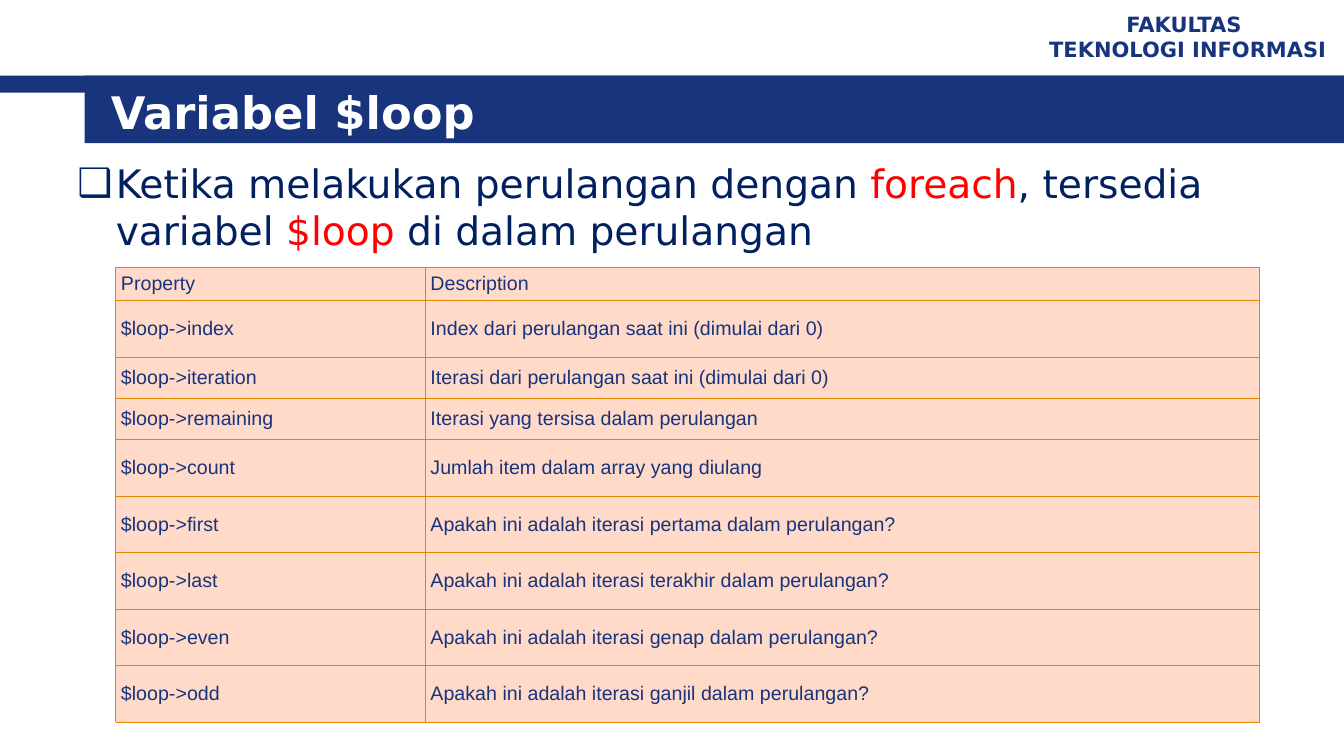
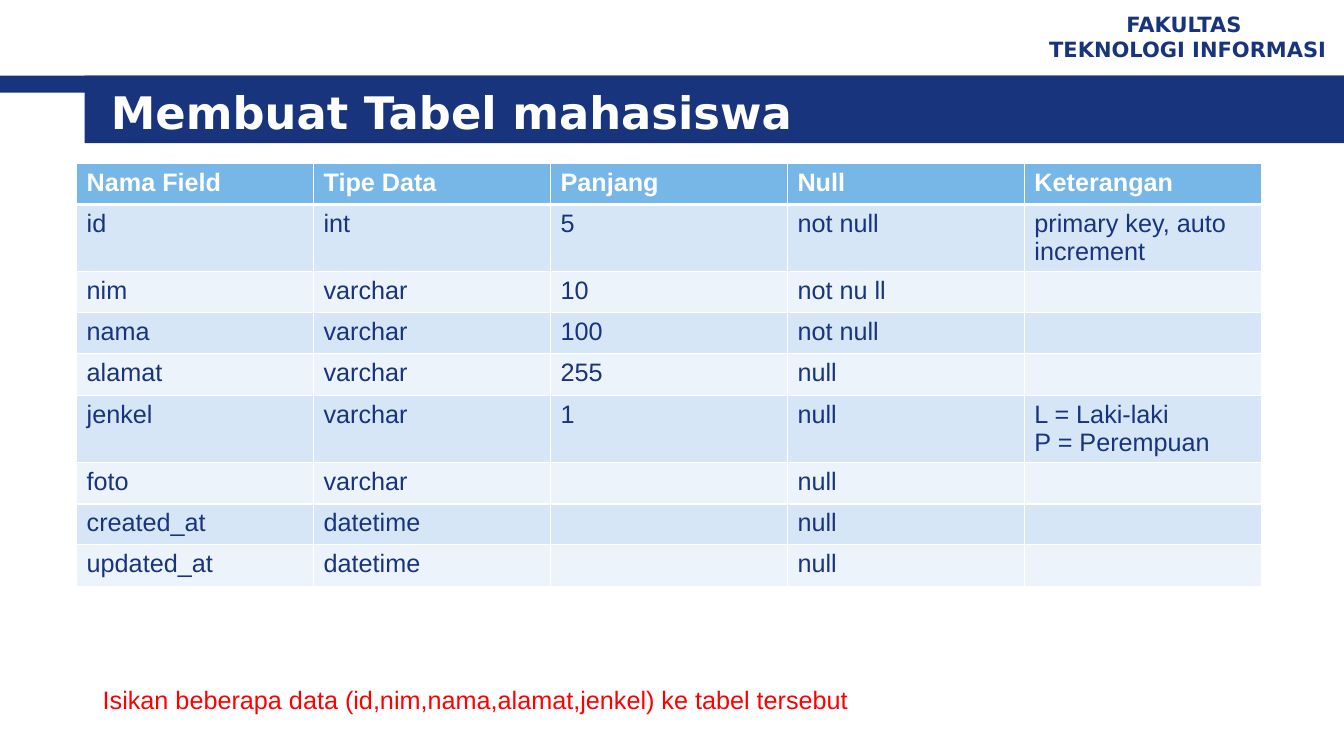
from dataclasses import dataclass

import pptx
import pptx.dml.color
import pptx.enum.shapes
import pptx.enum.text
import pptx.oxml
import pptx.oxml.ns
import pptx.presentation
import pptx.slide
import pptx.table
import pptx.text.text
import pptx.util

Inches = pptx.util.Inches
Pt = pptx.util.Pt
MIDDLE = pptx.enum.text.MSO_ANCHOR.MIDDLE
TOP = pptx.enum.text.MSO_ANCHOR.TOP

COLOURS = {
    "navy": "17347D",
    "body": "002060",
    "accent": "FF0000",
    "white": "FFFFFF",
    "peach": "FFDAC8",
    "orange": "E28700",
    "header": "77B7E7",
    "band_dark": "D6E6F6",
    "band_light": "ECF3FA",
}
HEADING_FONT = "DejaVu Sans"
TABLE_FONT = "Arial"


@dataclass(frozen=True)
class Box:
    left: float
    top: float
    width: float
    height: float

    def lengths(self) -> tuple[int, int, int, int]:
        return Inches(self.left), Inches(self.top), Inches(self.width), Inches(self.height)


@dataclass(frozen=True)
class TextStyle:
    size: float
    colour: str
    font: str = TABLE_FONT
    bold: bool = False


@dataclass(frozen=True)
class TableStyle:
    text: TextStyle
    header_text: TextStyle
    header_fill: str
    row_fills: tuple[str, ...]
    border: str
    border_width: float
    header_border_width: float
    anchor: pptx.enum.text.MSO_ANCHOR
    side_margin: float


BANDS = (Box(0, 0.75, 13.33, 0.17), Box(0.84, 0.75, 12.49, 0.67))
TITLE_BOX = Box(1, 0.8, 11.89, 0.62)
FACULTY_BOX = Box(10.23, 0.05, 3.1, 0.62)

TITLE_STYLE = TextStyle(32, "white", HEADING_FONT, True)
FACULTY_STYLE = TextStyle(15, "navy", HEADING_FONT, True)
BODY_STYLE = TextStyle(28, "body", HEADING_FONT)
KEYWORD_STYLE = TextStyle(28, "accent", HEADING_FONT)
NOTE_STYLE = TextStyle(18, "accent")

LOOP_TEXT = TextStyle(14, "navy")
LOOP_STYLE = TableStyle(LOOP_TEXT, LOOP_TEXT, "peach", ("peach",), "orange", 0.75, 0.75, MIDDLE, 0.05)
FIELD_STYLE = TableStyle(
    TextStyle(18, "navy"), TextStyle(18, "white", bold=True), "header",
    ("band_dark", "band_light"), "white", 1, 3, TOP, 0.1,
)

LOOP_ROWS = (
    ("Property", "Description"),
    ("$loop->index", "Index dari perulangan saat ini (dimulai dari 0)"),
    ("$loop->iteration", "Iterasi dari perulangan saat ini (dimulai dari 0)"),
    ("$loop->remaining", "Iterasi yang tersisa dalam perulangan"),
    ("$loop->count", "Jumlah item dalam array yang diulang"),
    ("$loop->first", "Apakah ini adalah iterasi pertama dalam perulangan?"),
    ("$loop->last", "Apakah ini adalah iterasi terakhir dalam perulangan?"),
    ("$loop->even", "Apakah ini adalah iterasi genap dalam perulangan?"),
    ("$loop->odd", "Apakah ini adalah iterasi ganjil dalam perulangan?"),
)
LOOP_HEIGHTS = (0.33, 0.56, 0.41, 0.41) + (0.56,) * 5

FIELD_ROWS = (
    ("Nama Field", "Tipe Data", "Panjang", "Null", "Keterangan"),
    ("id", "int", "5", "not null", "primary key, auto increment"),
    ("nim", "varchar", "10", "not nu ll", ""),
    ("nama", "varchar", "100", "not null", ""),
    ("alamat", "varchar", "255", "null", ""),
    ("jenkel", "varchar", "1", "null", "L = Laki-laki\nP = Perempuan"),
    ("foto", "varchar", "", "null", ""),
    ("created_at", "datetime", "", "null", ""),
    ("updated_at", "datetime", "", "null", ""),
)
FIELD_HEIGHTS = (0.41, 0.65, 0.41, 0.41, 0.41, 0.67, 0.41, 0.39, 0.41)


def rgb(name: str) -> pptx.dml.color.RGBColor:
    return pptx.dml.color.RGBColor.from_string(COLOURS[name])


def format_font(font: pptx.text.text.Font, style: TextStyle) -> None:
    font.name = style.font
    font.size = Pt(style.size)
    font.bold = style.bold
    font.color.rgb = rgb(style.colour)


def write_text(frame: pptx.text.text.TextFrame, text: str, style: TextStyle) -> None:
    frame.text = text
    for paragraph in frame.paragraphs:
        for run in paragraph.runs:
            format_font(run.font, style)


def add_text(slide: pptx.slide.Slide, box: Box, text: str, style: TextStyle) -> pptx.text.text.TextFrame:
    frame = slide.shapes.add_textbox(*box.lengths()).text_frame
    frame.word_wrap = True
    write_text(frame, text, style)
    return frame


def add_slide(presentation: pptx.presentation.Presentation, title_text: str) -> pptx.slide.Slide:
    slide = presentation.slides.add_slide(presentation.slide_layouts.get_by_name("Title Only"))
    for box in BANDS:
        band = slide.shapes.add_shape(pptx.enum.shapes.MSO_SHAPE.RECTANGLE, *box.lengths())
        band.shadow.inherit = False
        band.fill.solid()
        band.fill.fore_color.rgb = rgb("navy")
        band.line.fill.background()
    faculty = add_text(slide, FACULTY_BOX, "FAKULTAS \nTEKNOLOGI INFORMASI", FACULTY_STYLE)
    faculty.vertical_anchor = MIDDLE
    for paragraph in faculty.paragraphs:
        paragraph.alignment = pptx.enum.text.PP_ALIGN.CENTER
    title = slide.shapes.title
    title.left, title.top, title.width, title.height = TITLE_BOX.lengths()
    write_text(title.text_frame, title_text, TITLE_STYLE)
    title.text_frame.auto_size = pptx.enum.text.MSO_AUTO_SIZE.NONE
    title.text_frame.vertical_anchor = MIDDLE
    title.text_frame.paragraphs[0].alignment = pptx.enum.text.PP_ALIGN.LEFT
    title.element.getparent().append(title.element)
    return slide


def add_bullet(paragraph: pptx.text.text._Paragraph, symbol: str, style: TextStyle, indent: float) -> None:
    properties = paragraph._p.get_or_add_pPr()
    properties.set("marL", str(Inches(indent)))
    properties.set("indent", str(-Inches(indent)))
    namespace = pptx.oxml.ns.nsdecls("a")
    for markup in (
        f'<a:buClr {namespace}><a:srgbClr val="{COLOURS[style.colour]}"/></a:buClr>',
        f'<a:buFont {namespace} typeface="{style.font}"/>',
        f'<a:buChar {namespace} char="{symbol}"/>',
    ):
        properties.append(pptx.oxml.parse_xml(markup))


def set_borders(cell: pptx.table._Cell, colour: str, width: float, bottom_width: float) -> None:
    properties = cell._tc.get_or_add_tcPr()
    for side in "LRTB":
        points = bottom_width if side == "B" else width
        properties.append(pptx.oxml.parse_xml(
            f'<a:ln{side} {pptx.oxml.ns.nsdecls("a")} w="{Pt(points)}">'
            f'<a:solidFill><a:srgbClr val="{COLOURS[colour]}"/></a:solidFill></a:ln{side}>'
        ))


def add_table(
    slide: pptx.slide.Slide,
    left: float,
    top: float,
    widths: tuple[float, ...],
    heights: tuple[float, ...],
    rows: tuple[tuple[str, ...], ...],
    style: TableStyle,
) -> None:
    box = Box(left, top, sum(widths), sum(heights))
    table = slide.shapes.add_table(len(rows), len(widths), *box.lengths()).table
    table.first_row = False
    table.horz_banding = False
    for column, width in zip(table.columns, widths):
        column.width = Inches(width)
    for index, (row, height, texts) in enumerate(zip(table.rows, heights, rows)):
        row.height = Inches(height)
        is_header = index == 0
        fill = style.header_fill if is_header else style.row_fills[(index - 1) % len(style.row_fills)]
        bottom_width = style.header_border_width if is_header else style.border_width
        for cell, text in zip(row.cells, texts):
            write_text(cell.text_frame, text, style.header_text if is_header else style.text)
            cell.vertical_anchor = style.anchor
            cell.margin_left = cell.margin_right = Inches(style.side_margin)
            cell.margin_top = cell.margin_bottom = Inches(0.05)
            set_borders(cell, style.border, style.border_width, bottom_width)
            cell.fill.solid()
            cell.fill.fore_color.rgb = rgb(fill)


def build_loop_slide(presentation: pptx.presentation.Presentation) -> None:
    slide = add_slide(presentation, "Variabel $loop")
    frame = add_text(slide, Box(0.67, 1.53, 12, 1.1), "", BODY_STYLE)
    paragraph = frame.paragraphs[0]
    add_bullet(paragraph, "❑", BODY_STYLE, 0.38)
    for text, style in (
        ("Ketika melakukan perulangan dengan ", BODY_STYLE),
        ("foreach", KEYWORD_STYLE),
        (", tersedia variabel ", BODY_STYLE),
        ("$loop ", KEYWORD_STYLE),
        ("di dalam perulangan", BODY_STYLE),
    ):
        run = paragraph.add_run()
        run.text = text
        format_font(run.font, style)
    add_table(slide, 1.15, 2.65, (3.07, 8.27), LOOP_HEIGHTS, LOOP_ROWS, LOOP_STYLE)


def build_field_slide(presentation: pptx.presentation.Presentation) -> None:
    slide = add_slide(presentation, "Membuat Tabel mahasiswa")
    add_table(slide, 0.76, 1.62, (2.35,) * 5, FIELD_HEIGHTS, FIELD_ROWS, FIELD_STYLE)
    note = "Isikan beberapa data (id,nim,nama,alamat,jenkel) ke tabel tersebut"
    frame = add_text(slide, Box(0.92, 6.74, 7.59, 0.4), note, NOTE_STYLE)
    frame.word_wrap = False


def main() -> None:
    presentation = pptx.Presentation()
    presentation.slide_width = Inches(13.33)
    presentation.slide_height = Inches(7.5)
    build_loop_slide(presentation)
    build_field_slide(presentation)
    presentation.save("out.pptx")


if __name__ == "__main__":
    main()
